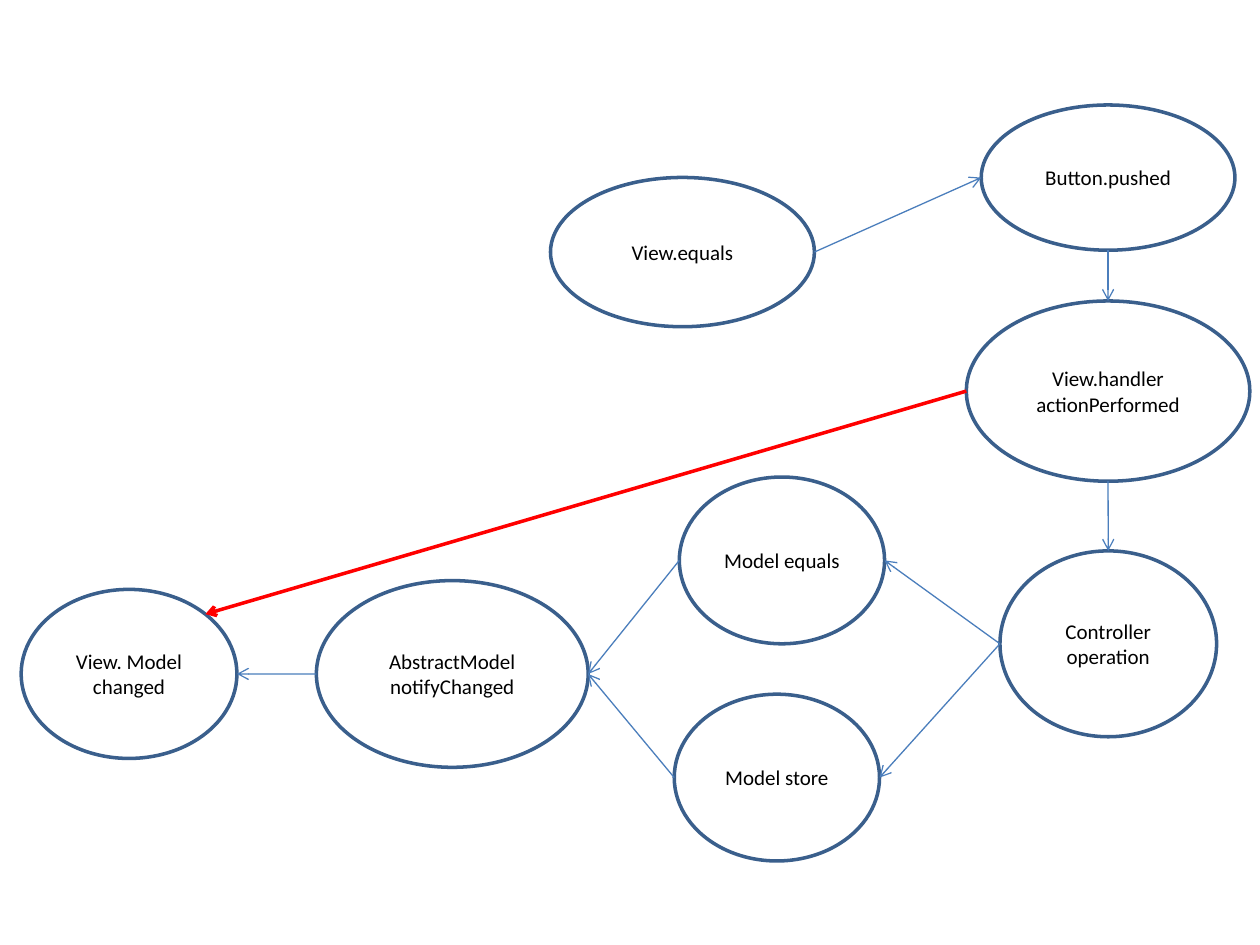
import pptx
import pptx.util
import pptx.dml.color
import pptx.enum.shapes
import pptx.enum.text
import lxml.etree
from pptx.oxml.ns import qn

Pt = pptx.util.Pt
RGB = pptx.dml.color.RGBColor
WHITE = RGB(0xFF, 0xFF, 0xFF)
BLACK = RGB(0, 0, 0)
NAVY = RGB(0x3A, 0x5F, 0x8C)
BLUE = RGB(0x4B, 0x7E, 0xBC)
RED = RGB(0xFF, 0, 0)

deck = pptx.Presentation()
deck.slide_width, deck.slide_height = Pt(720), Pt(540)
slide = deck.slides.add_slide(deck.slide_layouts[6])

nodes = {
    "equals": (388.2, 272.6, 117.3, 95.3, ["Model equals"]),
    "notify": (180.8, 331.8, 155.3, 106.7, ["AbstractModel notifyChanged"]),
    "control": (571.4, 314.8, 123.8, 106.2, ["Controller", "operation"]),
    "view": (314.6, 101.4, 150.8, 85.3, ["View.equals"]),
    "button": (560.7, 60, 145, 83, ["Button.pushed"]),
    "handler": (552.2, 172, 162, 103, ["View.handler", "actionPerformed"]),
    "changed": (12.1, 336.8, 123.3, 96.6, ["View. Model changed"]),
    "store": (385.3, 396.7, 117.3, 95.3, ["Model store"]),
}
for left, top, width, height, lines in nodes.values():
    oval = slide.shapes.add_shape(
        pptx.enum.shapes.MSO_SHAPE.FLOWCHART_CONNECTOR,
        Pt(left), Pt(top), Pt(width), Pt(height))
    oval.shadow.inherit = False
    oval.fill.solid()
    oval.fill.fore_color.rgb = WHITE
    oval.line.color.rgb = NAVY
    oval.line.width = Pt(2)
    frame = oval.text_frame
    frame.word_wrap = True
    frame.vertical_anchor = pptx.enum.text.MSO_ANCHOR.MIDDLE
    for i, line in enumerate(lines):
        para = frame.paragraphs[0] if i == 0 else frame.add_paragraph()
        para.alignment = pptx.enum.text.PP_ALIGN.CENTER
        run = para.add_run()
        run.text = line
        run.font.size = Pt(12)
        run.font.name = "Calibri"
        run.font.color.rgb = BLACK

sides = {
    "top": (0.5, 0), "left": (0, 0.5), "bottom": (0.5, 1),
    "right": (1, 0.5), "corner": (0.854, 0.146),
}


def spot(name, side):
    left, top, width, height, _ = nodes[name]
    across, down = sides[side]
    return Pt(left + width * across), Pt(top + height * down)


links = [
    ("view", "right", "button", "left", BLUE, 0.75),
    ("button", "bottom", "handler", "top", BLUE, 0.75),
    ("handler", "bottom", "control", "top", BLUE, 0.75),
    ("control", "left", "equals", "right", BLUE, 0.75),
    ("control", "left", "store", "right", BLUE, 0.75),
    ("store", "left", "notify", "right", BLUE, 0.75),
    ("equals", "left", "notify", "right", BLUE, 0.75),
    ("notify", "left", "changed", "right", BLUE, 0.75),
    ("handler", "left", "changed", "corner", RED, 2),
]
for start, exit, end, entry, color, weight in links:
    link = slide.shapes.add_connector(
        pptx.enum.shapes.MSO_CONNECTOR.STRAIGHT,
        *spot(start, exit), *spot(end, entry))
    link.line.color.rgb = color
    link.line.width = Pt(weight)
    tail = lxml.etree.SubElement(link.line._get_or_add_ln(), qn("a:tailEnd"))
    tail.set("type", "arrow")
    lxml.etree.SubElement(link._element.spPr, qn("a:effectLst"))

deck.save("out.pptx")
